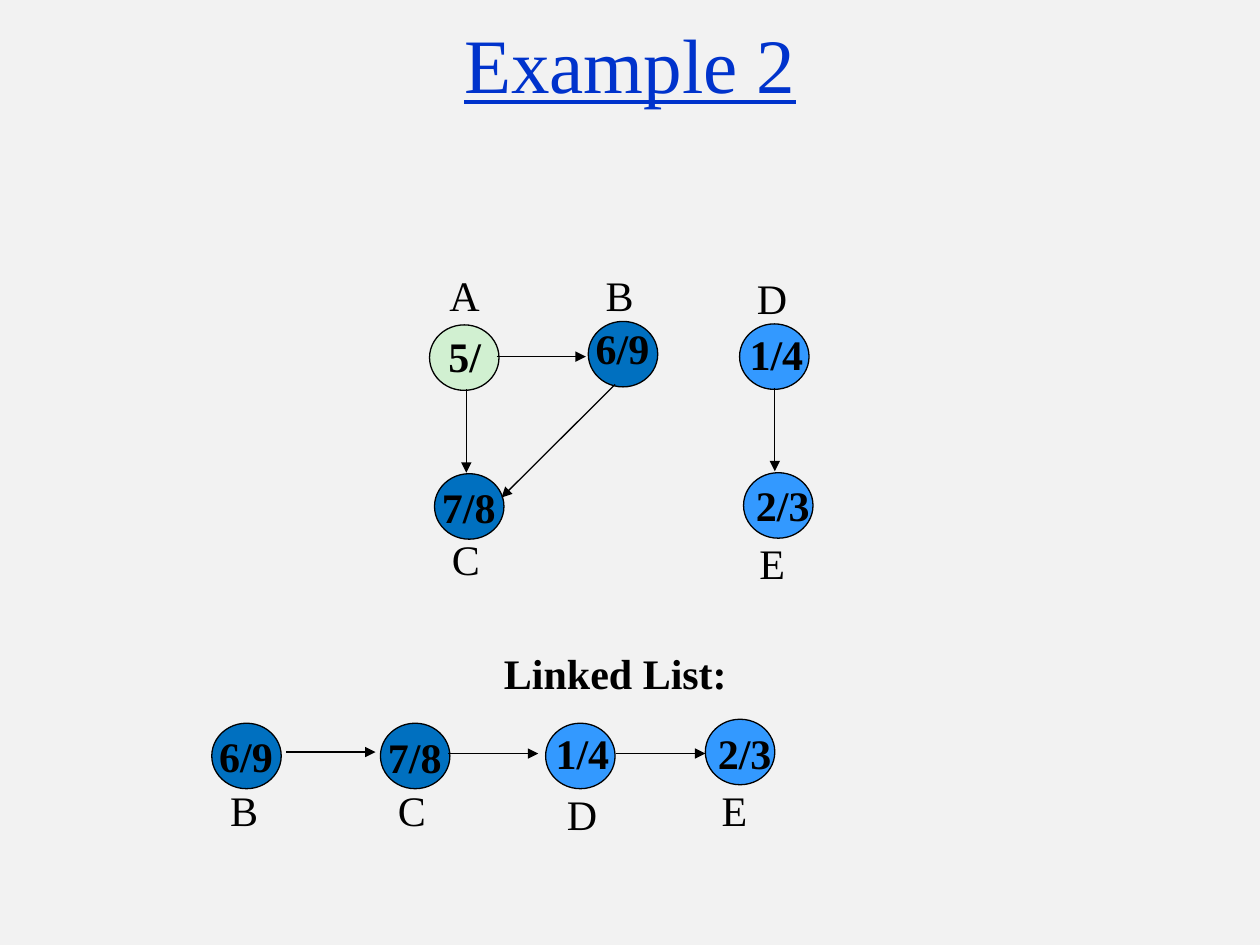
from lxml.etree import SubElement
from pptx import Presentation
from pptx.dml.color import RGBColor
from pptx.enum.shapes import MSO_CONNECTOR, MSO_SHAPE
from pptx.enum.text import MSO_ANCHOR, MSO_AUTO_SIZE, PP_ALIGN
from pptx.oxml.ns import qn
from pptx.util import Cm, Pt

HUES = {
    "back": "F2F2F2",
    "title": "0033CC",
    "ink": "000000",
    "dark": "0070C0",
    "light": "3399FF",
    "open": "D1F0D1",
}
FONT = "Times New Roman"
WIDTHS = {"A": 1.12, "B": 1.07, "C": 1.07, "D": 1.12, "E": 1.02, "5/": 1.17}

# name, time, hue, then left and top of the circle, the time and the name
NODES = [
    ("A", "5/", "open", (8.66, 6.55), (8.79, 6.53), (8.81, 5.31)),
    ("B", "6/9", "dark", (11.86, 6.48), (11.76, 6.38), (11.96, 5.31)),
    ("C", "7/8", "dark", (8.76, 9.55), (8.66, 9.58), (8.86, 10.64)),
    ("D", "1/4", "light", (14.91, 6.53), (14.86, 6.5), (15.01, 5.36)),
    ("E", "2/3", "light", (14.99, 9.53), (14.99, 9.55), (15.06, 10.72)),
    ("B", "6/9", "dark", (4.27, 14.58), (4.17, 14.61), (4.39, 15.7)),
    ("C", "7/8", "dark", (7.67, 14.58), (7.57, 14.63), (7.77, 15.7)),
    ("D", "1/4", "light", (11, 14.58), (10.95, 14.55), (11.18, 15.77)),
    ("E", "2/3", "light", (14.22, 14.5), (14.22, 14.55), (14.3, 15.7)),
]
ARROWS = [
    (10.01, 7.19, 11.81, 7.19),
    (9.4, 7.85, 9.4, 9.53),
    (12.4, 7.75, 10.11, 10.03),
    (15.62, 7.82, 15.62, 9.5),
    (5.77, 15.16, 7.57, 15.16),
    (9.04, 15.19, 10.85, 15.19),
    (12.42, 15.19, 14.22, 15.19),
]


def paint(part, hue):
    """Give a fill or line format a solid colour."""
    part.solid()
    part.fore_color.rgb = RGBColor.from_string(HUES[hue])


def write(slide, text, spot, wide, high=1.27, size=24, hue="ink", bold=False):
    """Add a one-line text box and return it."""
    box = slide.shapes.add_textbox(*map(Cm, (*spot, wide, high)))
    frame = box.text_frame
    frame.word_wrap = False
    frame.auto_size = MSO_AUTO_SIZE.SHAPE_TO_FIT_TEXT
    frame.text = text
    font = frame.paragraphs[0].font
    font.name, font.size, font.bold = FONT, Pt(size), bold
    font.color.rgb = RGBColor.from_string(HUES[hue])
    return box


def head(slide, text):
    """Add the underlined title across the top."""
    frame = write(slide, text, (0, 0), 25.4, 2.54, 44, "title").text_frame
    frame.word_wrap = True
    frame.auto_size = MSO_AUTO_SIZE.NONE
    frame.vertical_anchor = MSO_ANCHOR.MIDDLE
    frame.paragraphs[0].alignment = PP_ALIGN.CENTER
    frame.paragraphs[0].font.underline = True


def node(slide, name, time, hue, spot, inner, outer):
    """Add a circle with its visit times and its name."""
    disc = slide.shapes.add_shape(
        MSO_SHAPE.OVAL, *map(Cm, (*spot, 1.4, 1.32)))
    disc.shadow.inherit = False
    paint(disc.fill, hue)
    paint(disc.line.fill, "ink")
    disc.line.width = Pt(0.75)
    write(slide, time, inner, WIDTHS.get(time, 1.6), bold=True)
    write(slide, name, outer, WIDTHS[name])


def arrow(slide, ends):
    """Add a thin line with a triangle at its end."""
    link = slide.shapes.add_connector(MSO_CONNECTOR.STRAIGHT, *map(Cm, ends))
    paint(link.line.fill, "ink")
    link.line.width = Pt(0.75)
    SubElement(link.line._get_or_add_ln(), qn("a:tailEnd"), type="triangle")
    SubElement(link._element.spPr, qn("a:effectLst"))


def main():
    """Build the slide and save it."""
    deck = Presentation()
    deck.slide_width, deck.slide_height = Cm(25.4), Cm(19.05)
    slide = deck.slides.add_slide(deck.slide_layouts[6])
    paint(slide.background.fill, "back")
    head(slide, "Example 2")
    for item in NODES:
        node(slide, *item)
    for ends in ARROWS:
        arrow(slide, ends)
    write(slide, "Linked List:", (9.91, 12.93), 5, bold=True)
    deck.save("out.pptx")


if __name__ == "__main__":
    main()
